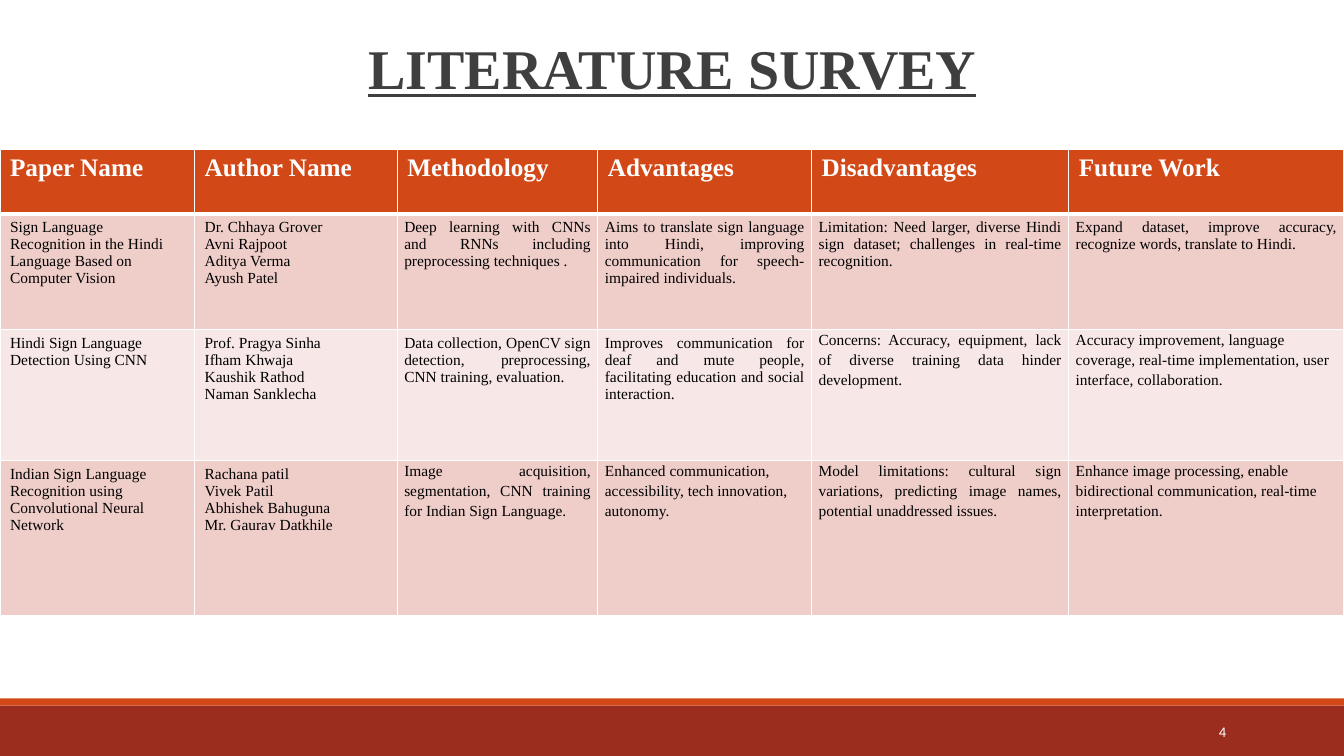
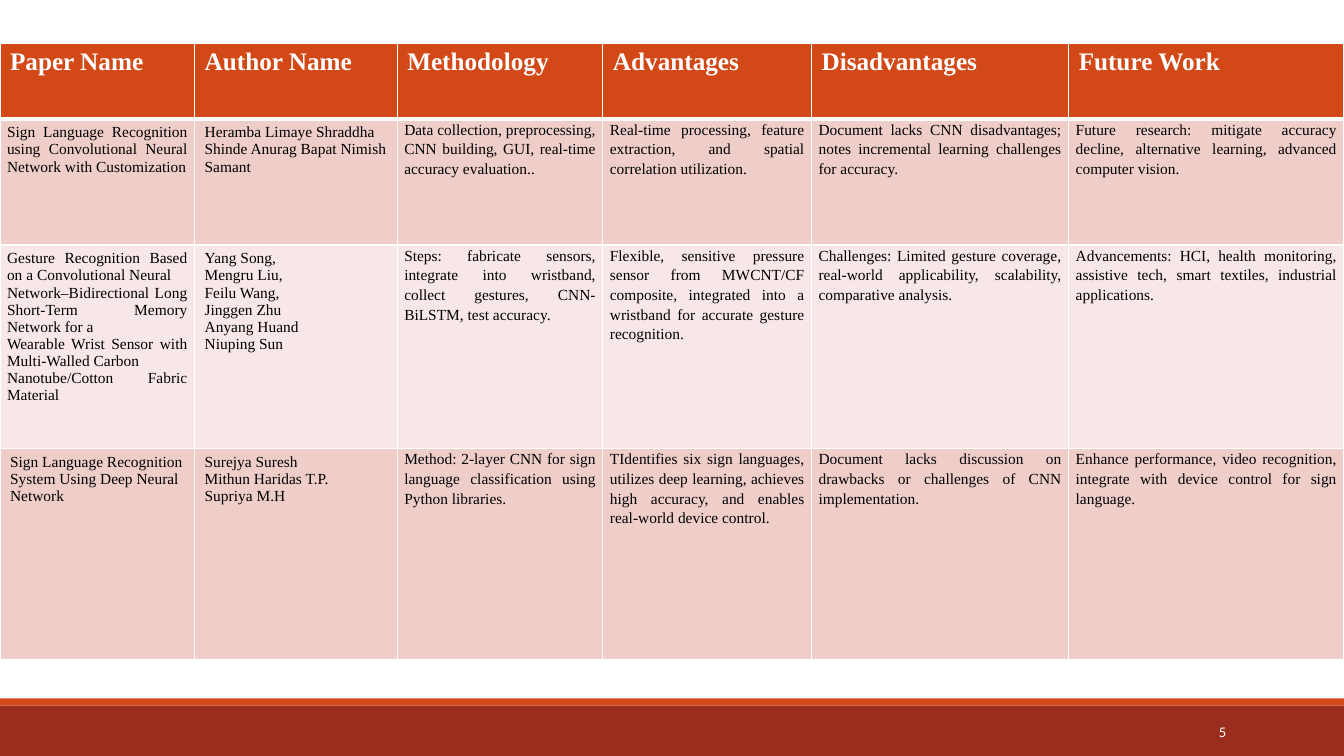
from lxml.etree import SubElement as Sub
from pptx import Presentation
from pptx.dml.color import RGBColor as Rgb
from pptx.enum.shapes import MSO_SHAPE as Shape
from pptx.enum.text import MSO_ANCHOR as Anchor, PP_ALIGN as Align
from pptx.oxml.ns import qn
from pptx.util import Emu, Pt

SCALE = 9144  # EMU per px, 100 px to the inch
WIDE, HIGH = 1333, 750
SERIF, SANS = "Times New Roman", "Calibri"
COLORS = {
    "band": "9B2D1F", "accent": "D34817", "title": "3F3F3F",
    "dark": "EFCECA", "light": "F7E8E7", "white": "FFFFFF", "black": "000000",
}
HEADS = ["Paper Name", "Author Name", "Methodology", "Advantages",
         "Disadvantages", "Future Work"]
# Cell styles: side inset, top inset, alignment, line spacing
MODES = {
    "n": (10, 5, Align.LEFT, None),
    "j": (7, 5, Align.JUSTIFY, None),
    "w": (7, 0, Align.JUSTIFY, 1.15),
    "l": (7, 0, Align.LEFT, 1.15),
}


def px(num):
    return Emu(num * SCALE)


def rgb(name):
    return Rgb.from_string(COLORS[name])


class Deck:
    def __init__(self):
        self.prs = Presentation()
        self.prs.slide_width, self.prs.slide_height = px(WIDE), px(HIGH)
        self.slide = None

    def page(self, num):
        """Start a slide with its footer bands and number."""
        self.slide = self.prs.slides.add_slide(self.prs.slide_layouts[6])
        self.band(700, 50, "band")
        self.band(693, 7, "accent")
        self.text(str(num), (1083, 706, 143, 40), 10.5, SANS, "white",
                  Align.RIGHT, Anchor.MIDDLE)

    def band(self, top, high, color):
        bar = self.slide.shapes.add_shape(
            Shape.RECTANGLE, px(0), px(top), px(WIDE), px(high))
        bar.shadow.inherit = False
        bar.fill.solid()
        bar.fill.fore_color.rgb = rgb(color)
        bar.line.fill.background()

    def style(self, para, size, font, color, bold=False):
        for run in para.runs:
            run.font.size, run.font.name = Pt(size), font
            run.font.bold = bold
            run.font.color.rgb = rgb(color)

    def text(self, words, box, size, font, color, align, anchor, bold=False):
        frame = self.slide.shapes.add_textbox(*map(px, box)).text_frame
        frame.word_wrap = True
        frame.vertical_anchor = anchor
        frame.text = words
        para = frame.paragraphs[0]
        para.alignment = align
        self.style(para, size, font, color, bold)
        return para

    def title(self, words):
        para = self.text(words, (117, 37, 1100, 68), 40, SERIF, "title",
                         Align.CENTER, Anchor.BOTTOM, True)
        para.line_spacing = 0.85
        para.runs[0].font.underline = True

    def edges(self, cell, top, low):
        """Draw white borders; they come before the fill in the cell."""
        props = cell._tc.get_or_add_tcPr()
        for spot, (side, size) in enumerate(
                (("L", 1), ("R", 1), ("T", top), ("B", low))):
            line = Sub(props, qn("a:ln" + side), w=str(Pt(size)))
            fill = Sub(line, qn("a:solidFill"))
            Sub(fill, qn("a:srgbClr"), val=COLORS["white"])
            props.insert(spot, line)

    def cell(self, cell, words, mode, fill, size, color, bold):
        side, top, align, space = MODES[mode]
        cell.margin_left = cell.margin_right = px(side)
        cell.margin_top = cell.margin_bottom = px(top)
        cell.fill.solid()
        cell.fill.fore_color.rgb = rgb(fill)
        cell.text_frame.text = words
        for para in cell.text_frame.paragraphs:
            para.alignment = align
            if space:
                para.line_spacing = space
            self.style(para, size, SERIF, color, bold)

    def table(self, top, cols, highs, rows):
        """Each row is a string of cell modes and a list of texts."""
        grid = self.slide.shapes.add_table(
            len(highs), len(cols), px(0), px(top),
            px(sum(cols)), px(sum(highs))).table
        for col, wide in zip(grid.columns, cols):
            col.width = px(wide)
        for row, high in zip(grid.rows, highs):
            row.height = px(high)
        for r, (modes, texts) in enumerate([("nnnnnn", HEADS)] + rows):
            if r == 0:
                look = ("accent", 18, "white", True)
            else:
                look = ("dark" if r % 2 else "light", 11, "black", False)
            for c, (mode, words) in enumerate(zip(modes, texts)):
                cell = grid.cell(r, c)
                self.cell(cell, words, mode, *look)
                self.edges(cell, 3 if r == 1 else 1, 3 if r == 0 else 1)


FIRST = [
    ("nnjjjj", [
        "Sign Language\nRecognition in the Hindi Language Based on Computer Vision",
        "Dr. Chhaya Grover\nAvni Rajpoot\nAditya Verma\nAyush Patel",
        "Deep learning with CNNs and RNNs including preprocessing techniques .",
        "Aims to translate sign language into Hindi, improving communication "
        "for speech-impaired individuals.",
        "Limitation: Need larger, diverse Hindi sign dataset; challenges in "
        "real-time recognition.",
        "Expand dataset, improve accuracy, recognize words, translate to Hindi.",
    ]),
    ("nnjjwl", [
        "Hindi Sign Language\nDetection Using CNN",
        "Prof. Pragya Sinha\nIfham Khwaja\nKaushik Rathod\nNaman Sanklecha",
        "Data collection, OpenCV sign detection, preprocessing, CNN training, "
        "evaluation.",
        "Improves communication for deaf and mute people, facilitating "
        "education and social interaction.",
        "Concerns: Accuracy, equipment, lack of diverse training data hinder "
        "development.",
        "Accuracy improvement, language coverage, real-time implementation, "
        "user interface, collaboration.",
    ]),
    ("nnwlwl", [
        "Indian Sign Language Recognition using Convolutional Neural Network",
        "Rachana patil\nVivek Patil\nAbhishek Bahuguna\nMr. Gaurav Datkhile",
        "Image acquisition, segmentation, CNN training for Indian Sign Language.",
        "Enhanced communication, accessibility, tech innovation, autonomy.",
        "Model limitations: cultural sign variations, predicting image names, "
        "potential unaddressed issues.",
        "Enhance image processing, enable bidirectional communication, "
        "real-time interpretation.",
    ]),
]
SECOND = [
    ("jnwwww", [
        "Sign Language Recognition using Convolutional Neural Network with "
        "Customization",
        "Heramba Limaye Shraddha Shinde Anurag Bapat Nimish Samant",
        "Data collection, preprocessing, CNN building, GUI, real-time accuracy "
        "evaluation..",
        "Real-time processing, feature extraction, and spatial correlation "
        "utilization.",
        "Document lacks CNN disadvantages; notes incremental learning "
        "challenges for accuracy.",
        "Future research: mitigate accuracy decline, alternative learning, "
        "advanced computer vision.",
    ]),
    ("jnwwww", [
        "Gesture Recognition Based on a Convolutional Neural\n"
        "Network–Bidirectional Long Short-Term Memory Network for a\n"
        "Wearable Wrist Sensor with Multi-Walled Carbon\n"
        "Nanotube/Cotton Fabric Material",
        "Yang Song,\nMengru Liu,\nFeilu Wang,\nJinggen Zhu\nAnyang Huand\n"
        "Niuping Sun",
        "Steps: fabricate sensors, integrate into wristband, collect gestures, "
        "CNN-BiLSTM, test accuracy.",
        "Flexible, sensitive pressure sensor from MWCNT/CF composite, "
        "integrated into a wristband for accurate gesture recognition.",
        "Challenges: Limited gesture coverage, real-world applicability, "
        "scalability, comparative analysis.",
        "Advancements: HCI, health monitoring, assistive tech, smart textiles, "
        "industrial applications.",
    ]),
    ("nnwwww", [
        "Sign Language Recognition System Using Deep Neural Network",
        "Surejya Suresh\nMithun Haridas T.P.\nSupriya M.H",
        "Method: 2-layer CNN for sign language classification using Python "
        "libraries.",
        "TIdentifies six sign languages, utilizes deep learning, achieves high "
        "accuracy, and enables real-world device control.",
        "Document lacks discussion on drawbacks or challenges of CNN "
        "implementation.",
        "Enhance performance, video recognition, integrate with device control "
        "for sign language.",
    ]),
]


def main():
    deck = Deck()

    # First survey slide
    deck.page(4)
    deck.table(148, [193, 201, 199, 212, 255, 273], [64, 115, 130, 154], FIRST)
    deck.title("LITERATURE SURVEY")

    # Second survey slide
    deck.page(5)
    deck.table(43, [193, 201, 204, 207, 255, 273], [75, 125, 202, 209], SECOND)

    deck.prs.save("out.pptx")


if __name__ == "__main__":
    main()
